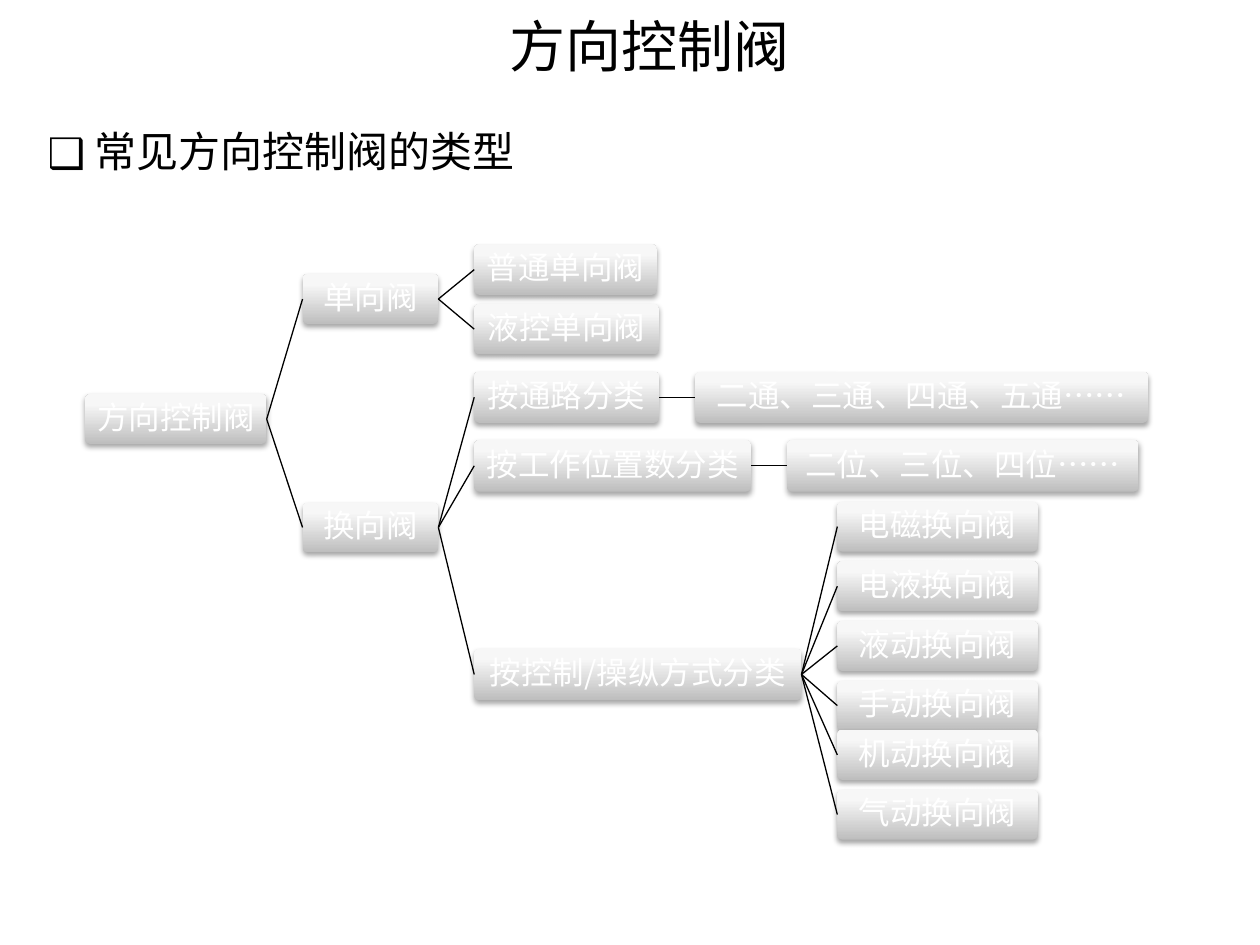
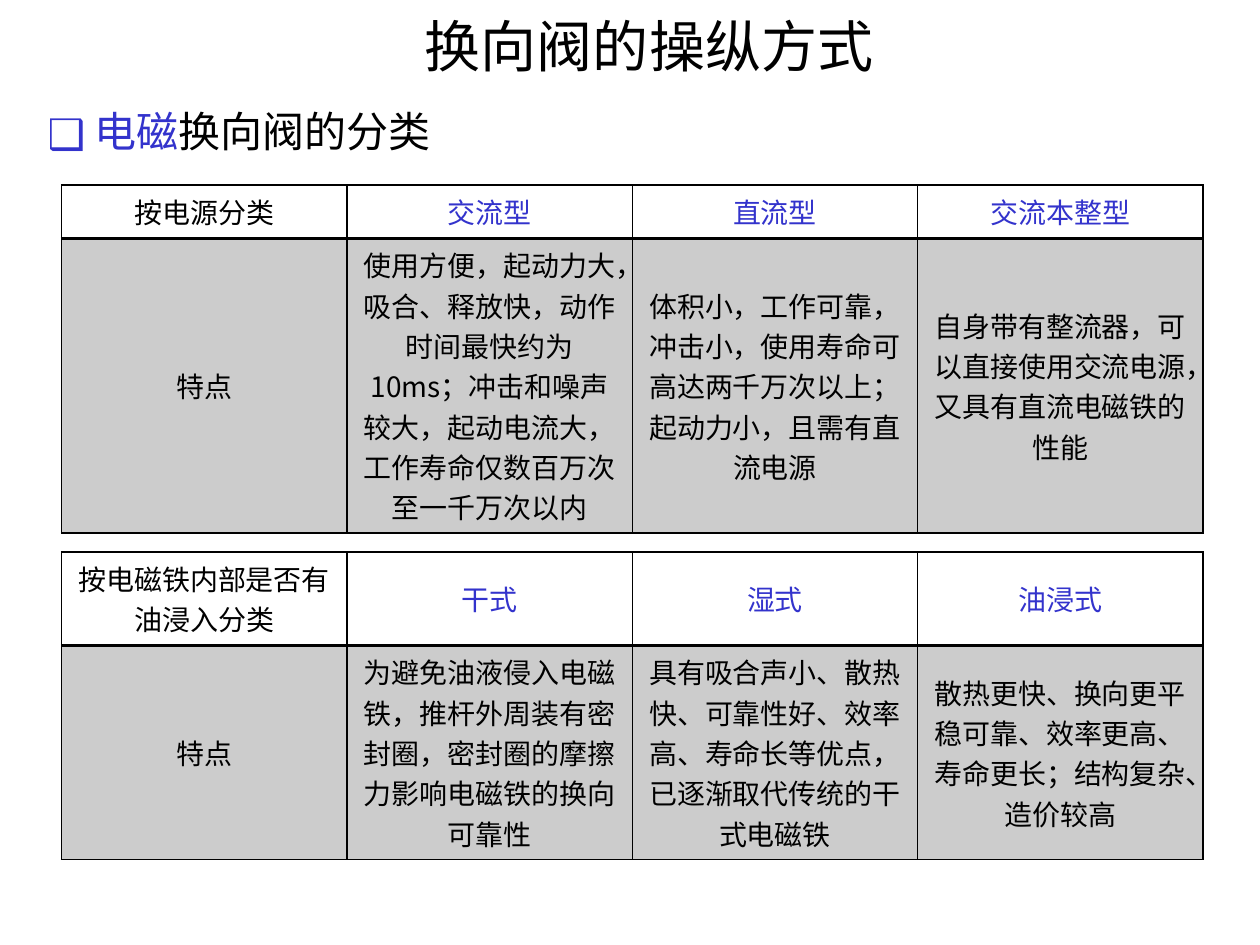
from dataclasses import dataclass

from lxml import etree
from pptx import Presentation
from pptx.dml.color import RGBColor
from pptx.enum.shapes import MSO_CONNECTOR as CONN, MSO_SHAPE as SHAPE
from pptx.enum.text import MSO_ANCHOR as ANCHOR, MSO_AUTO_SIZE as AUTO, PP_ALIGN as ALIGN
from pptx.oxml import parse_xml
from pptx.oxml.ns import qn
from pptx.util import Pt

FONT = "Noto Sans CJK SC"
NS = 'xmlns:a="http://schemas.openxmlformats.org/drawingml/2006/main"'
COLORS = {"text": "000000", "accent": "3333CC", "node_text": "FFFFFF", "line": "000000",
          "node_low": "BEBEBE", "node_mid": "F7F7F7", "node_high": "F8F8F8"}
TITLE_BOX = (116, 1.5, 510, 49)
LEVEL_GAP = 20.5


# Shared helpers
def color(name):
    return RGBColor.from_string(COLORS[name])


def set_attrs(obj, values):
    for name, value in values.items():
        setattr(obj, name, value)


def place(sp, box):
    set_attrs(sp, dict(zip(("left", "top", "width", "height"), map(Pt, box))))


def add_run(p, text, size, tint="text"):
    r = p.add_run()
    r.text = text
    set_attrs(r.font, {"name": FONT, "size": Pt(size), "bold": False})
    r.font.color.rgb = color(tint)
    ea = etree.SubElement(r.font._element, qn("a:ea"))
    ea.set("typeface", FONT)


# Slide title and bulleted heading
def new_slide(prs, title, heading_box, heading):
    slide = prs.slides.add_slide(prs.slide_layouts[1])
    head, body = slide.placeholders
    place(head, TITLE_BOX)
    set_attrs(head.text_frame, {"vertical_anchor": ANCHOR.MIDDLE, "auto_size": AUTO.NONE})
    p = head.text_frame.paragraphs[0]
    p.alignment = ALIGN.CENTER
    add_run(p, title, 32)

    place(body, heading_box)
    set_attrs(body.text_frame, {"vertical_anchor": ANCHOR.TOP, "auto_size": AUTO.NONE,
                                "margin_top": 0, "margin_bottom": 0})
    p = body.text_frame.paragraphs[0]
    set_attrs(p, {"alignment": ALIGN.JUSTIFY, "space_before": Pt(0)})
    pPr = p._p.get_or_add_pPr()
    pPr.set("marL", str(Pt(27)))
    pPr.set("indent", str(Pt(-27)))
    pPr.append(parse_xml(f'<a:buFont {NS} typeface="{FONT}"/>'))
    pPr.append(parse_xml(f'<a:buChar {NS} char="❑"/>'))
    for text, tint in heading:
        add_run(p, text, 24, tint)
    return slide


# Classification tree
@dataclass
class Node:
    text: str
    width: float
    height: float
    mid: float  # middle of the node, measured from the top of the tree
    children: tuple = ()


def add_node(slide, node, x, y):
    sp = slide.shapes.add_shape(SHAPE.ROUNDED_RECTANGLE, Pt(x), Pt(y + node.mid - node.height / 2),
                                Pt(node.width), Pt(node.height))
    sp.adjustments[0] = 0.1
    sp.line.fill.background()
    # Gradient from bottom to top, and a soft shadow below
    stops = "".join(f'<a:gs pos="{pos}000"><a:srgbClr val="{COLORS[name]}"/></a:gs>'
                    for pos, name in ((0, "node_low"), (80, "node_mid"), (100, "node_high")))
    spPr = sp._element.spPr
    spPr.find(qn("a:ln")).addprevious(parse_xml(
        f'<a:gradFill {NS} rotWithShape="1"><a:gsLst>{stops}</a:gsLst>'
        '<a:lin ang="16200000" scaled="0"/></a:gradFill>'))
    spPr.append(parse_xml(
        f'<a:effectLst {NS}><a:outerShdw blurRad="{Pt(3.1)}" dist="{Pt(1.8)}" dir="5400000" '
        f'rotWithShape="0"><a:srgbClr val="{COLORS["line"]}"><a:alpha val="35000"/></a:srgbClr>'
        '</a:outerShdw></a:effectLst>'))
    tf = sp.text_frame
    set_attrs(tf, {"word_wrap": True, "vertical_anchor": ANCHOR.MIDDLE})
    set_attrs(tf, {f"margin_{side}": Pt(1) for side in ("left", "top", "right", "bottom")})
    p = tf.paragraphs[0]
    set_attrs(p, {"alignment": ALIGN.CENTER, "line_spacing": 0.9})
    add_run(p, node.text, 18, "node_text")
    return sp


def add_branch(slide, parent, child):
    line = slide.shapes.add_connector(CONN.STRAIGHT, 0, 0, 0, 0)
    line.begin_connect(parent, 3)
    line.end_connect(child, 1)
    line.line.color.rgb = color("line")
    line.line.width = Pt(0.75)
    etree.SubElement(line._element.spPr, qn("a:effectLst"))


def add_tree(slide, node, x, y):
    sp = add_node(slide, node, x, y)
    for child in node.children:
        add_branch(slide, sp, add_tree(slide, child, x + node.width + LEVEL_GAP, y))
    return sp


# Feature table: header row over one shaded row
def set_borders(cell, widths):
    tcPr = cell._tc.get_or_add_tcPr()
    for i, (side, width) in enumerate(zip("LRTB", widths)):
        tcPr.insert(i, parse_xml(
            f'<a:ln{side} {NS} w="{Pt(width)}"><a:solidFill><a:srgbClr val="{COLORS["line"]}"/>'
            f'</a:solidFill></a:ln{side}>'))


def add_feature_table(slide, box, header_height, rows):
    x, y, w, h = box
    table = slide.shapes.add_table(len(rows), len(rows[0]), *map(Pt, box)).table
    set_attrs(table, {"first_row": False, "horz_banding": False})
    for col in table.columns:
        col.width = Pt(w / len(rows[0]))
    for row, height in zip(table.rows, (header_height, h - header_height)):
        row.height = Pt(height)
    for i, texts in enumerate(rows):
        for j, text in enumerate(texts):
            cell = table.cell(i, j)
            cell.vertical_anchor = ANCHOR.MIDDLE
            p = cell.text_frame.paragraphs[0]
            p.alignment = ALIGN.CENTER
            add_run(p, text, 16, "accent" if i == 0 and j else "text")
            if i == 0:
                cell.fill.background()
                set_borders(cell, (1, 1, 1, 2))
            else:
                cell.fill.solid()
                cell.fill.fore_color.rgb = color("line")
                clr = cell._tc.tcPr.find(".//" + qn("a:srgbClr"))
                etree.SubElement(clr, qn("a:alpha")).set("val", "20000")
                set_borders(cell, (1, 1, 2, 1))


# Slide content
def valve_types_slide(prs):
    slide = new_slide(prs, "方向控制阀", (20, 71.5, 682.5, 39.5),
                      [("常见方向控制阀的类型", "text")])
    drives = (("电磁", 161.2), ("电液", 195.3), ("液动", 229.4),
              ("手动", 263.5), ("机动", 291.7), ("气动", 325.8))
    tree = Node("方向控制阀", 103.7, 28.4, 99.8, (
        Node("单向阀", 77.6, 28.4, 31.2, (
            Node("普通单向阀", 104.4, 28.8, 14.4),
            Node("液控单向阀", 105.6, 28.8, 48.4))),
        Node("换向阀", 77.6, 28.4, 161.7, (
            Node("按通路分类", 105.8, 29.3, 87.3, (
                Node("二通、三通、四通、五通……", 258.8, 29.3, 87.3),)),
            Node("按工作位置数分类", 158.2, 29.5, 126.5, (
                Node("二位、三位、四位……", 201, 29.5, 126.5),)),
            Node("按控制/操纵方式分类", 187, 29.5, 245.7, tuple(
                Node(drive + "换向阀", 114.5, 28.6, mid) for drive, mid in drives))))))
    add_tree(slide, tree, 48.7, 139.7)


def solenoid_slide(prs):
    slide = new_slide(prs, "换向阀的操纵方式", (20, 60.5, 682.5, 45.5),
                      [("电磁", "accent"), ("换向阀的分类", "text")])
    add_feature_table(slide, (35.2, 105.8, 652.3, 198.2), 29.7, (
        ("按电源分类", "交流型", "直流型", "交流本整型"),
        ("特点",
         "使用方便，起动力大，吸合、释放快，动作时间最快约为10ms；冲击和噪声较大，"
         "起动电流大，工作寿命仅数百万次至一千万次以内",
         "体积小，工作可靠，冲击小，使用寿命可高达两千万次以上；起动力小，且需有直流电源",
         "自身带有整流器，可以直接使用交流电源，又具有直流电磁铁的性能")))
    add_feature_table(slide, (35.2, 315.4, 652.3, 175.6), 53.3, (
        ("按电磁铁内部是否有油浸入分类", "干式", "湿式", "油浸式"),
        ("特点",
         "为避免油液侵入电磁铁，推杆外周装有密封圈，密封圈的摩擦力影响电磁铁的换向可靠性",
         "具有吸合声小、散热快、可靠性好、效率高、寿命长等优点，已逐渐取代传统的干式电磁铁",
         "散热更快、换向更平稳可靠、效率更高、寿命更长；结构复杂、造价较高")))


def main():
    prs = Presentation()
    set_attrs(prs, {"slide_width": Pt(720), "slide_height": Pt(540)})
    valve_types_slide(prs)
    solenoid_slide(prs)
    prs.save("out.pptx")


if __name__ == "__main__":
    main()
